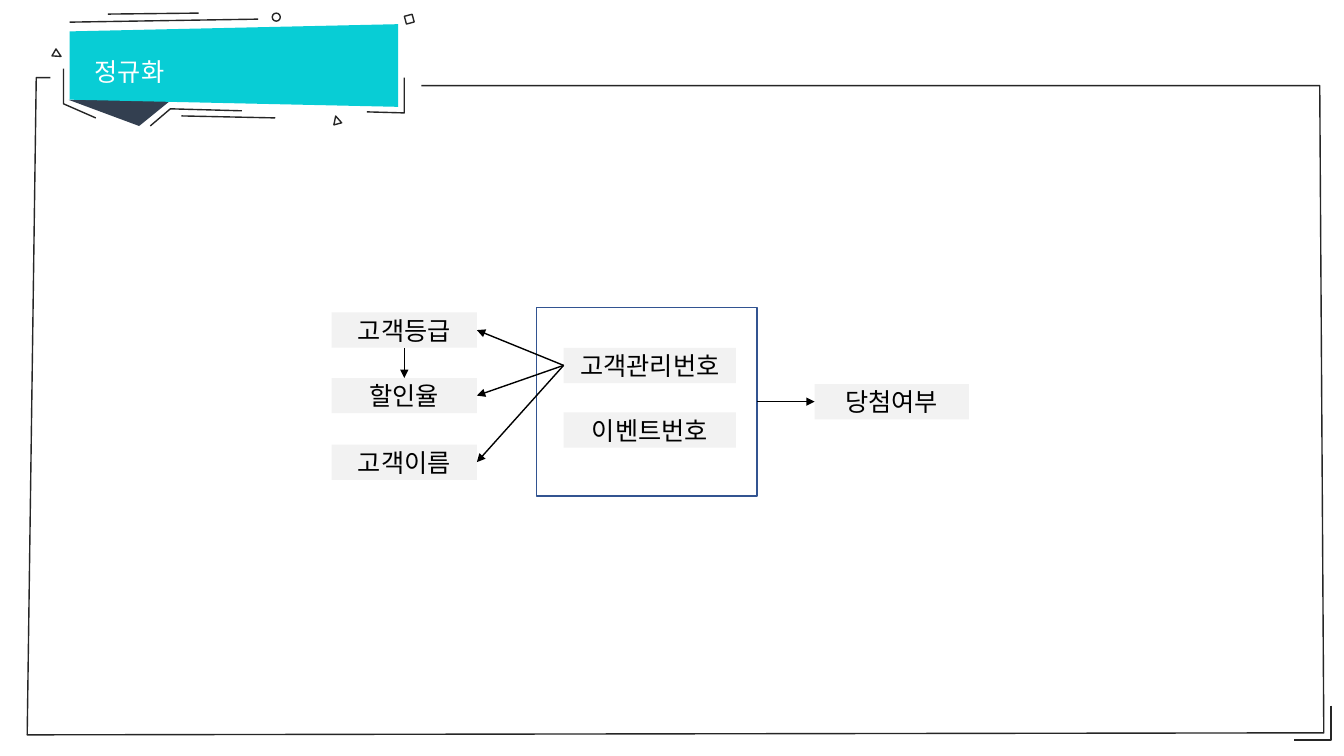
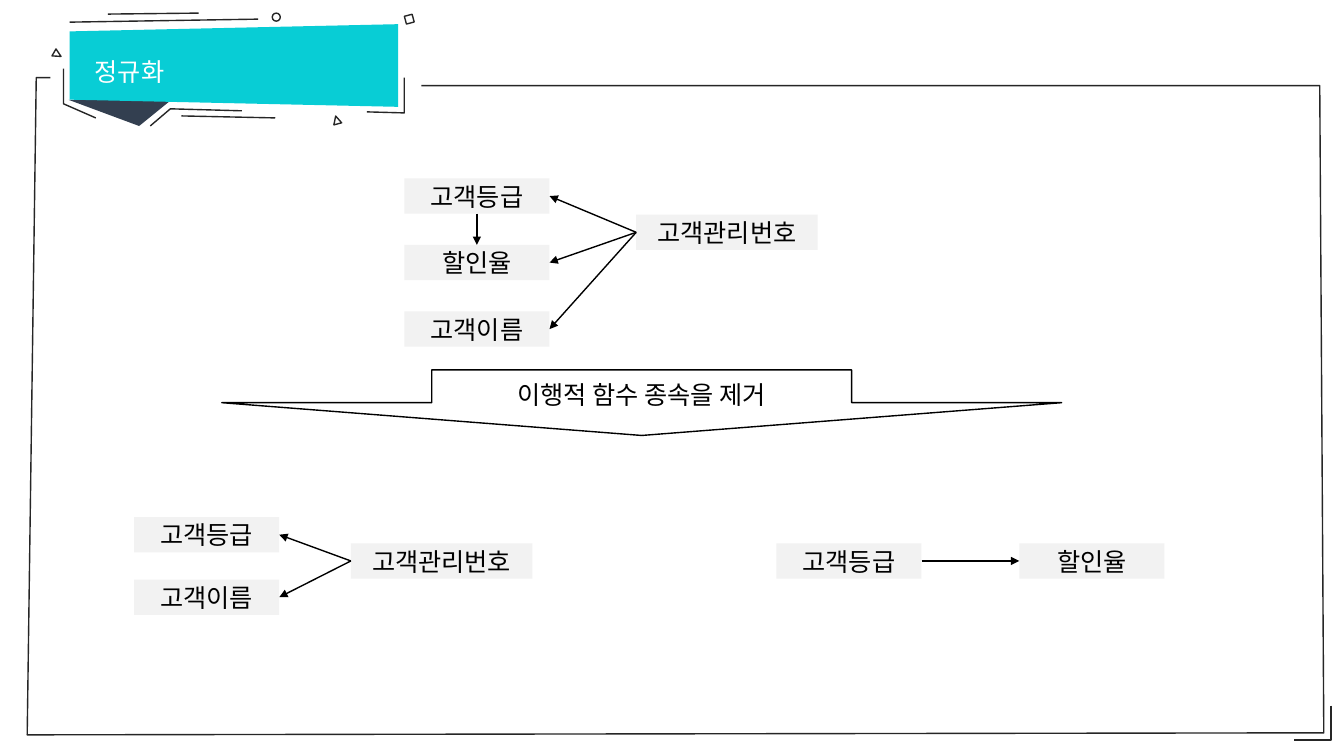
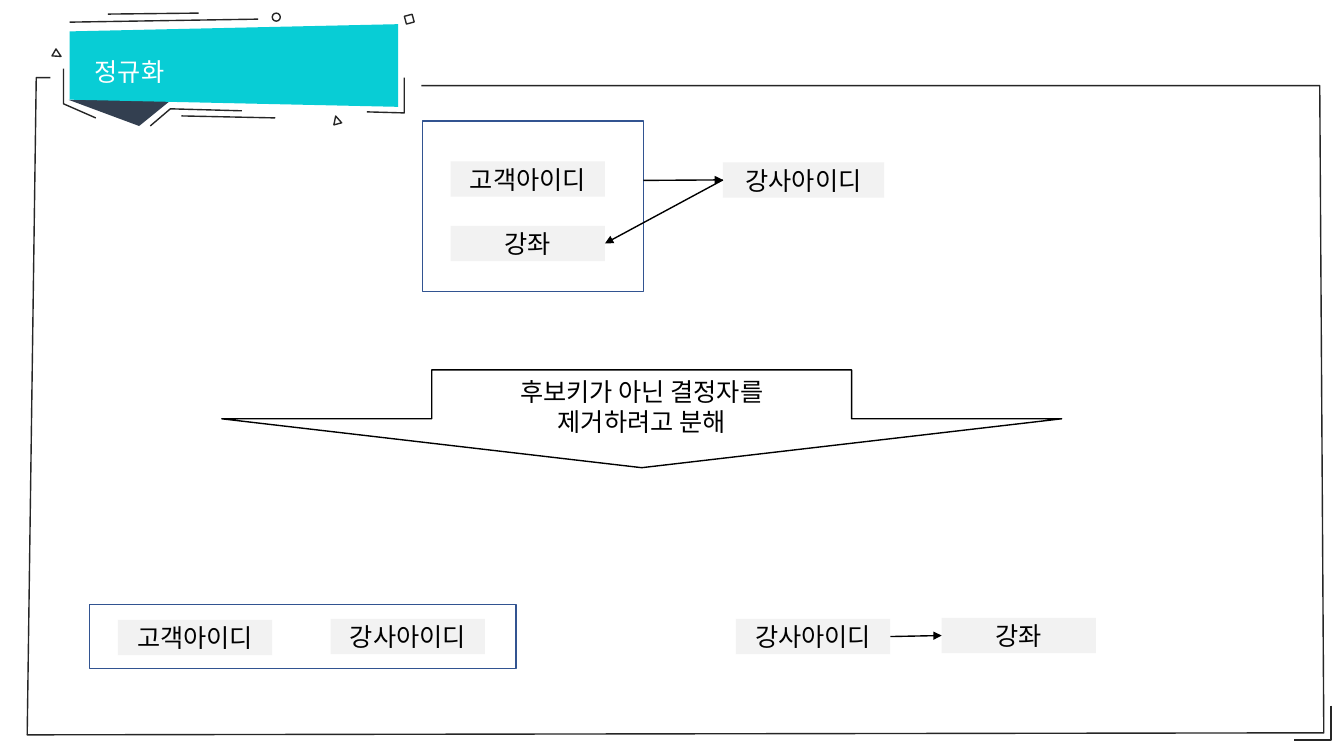
from dataclasses import dataclass

from lxml import etree
from pptx import Presentation
from pptx.dml.color import RGBColor
from pptx.enum import shapes, text
from pptx.oxml import ns
from pptx.util import Inches, Pt


@dataclass(frozen=True)
class Theme:
    font: str = "Noto Sans CJK KR"
    size: int = 18
    line: int = 1
    title: str = "FFFFFF"
    paper: str = "FFFFFF"
    ink: str = "000000"
    box: str = "F2F2F2"
    key_frame: str = "325491"
    outline: str = "262626"
    banner: str = "08CDD5"
    fold: str = "333F50"


THEME = Theme()
KIND = shapes.MSO_SHAPE
TOP, LEFT, BOTTOM, RIGHT = range(4)
BOX_HEIGHT = 0.35
TITLE_AT = (0.84, 0.36, 0.96, 0.56)

PAGE_BORDER = [(4.18, 0.85), (13.09, 0.85), (13.13, 7.27), (0.27, 7.29), (0.36, 0.77), (0.5, 0.77)]
BRACKETS = [
    [(13.2, 7), (13.2, 7.34), (12.83, 7.34)],
    [(0.63, 0.68), (0.63, 1.03), (0.95, 1.17)],
    [(1.49, 1.25), (1.69, 1.08), (2.4, 1.1)],
    [(4.01, 0.77), (4.01, 1.12), (3.64, 1.11)],
]
STROKES = [
    ((0.69, 0.22), (2.56, 0.19)),
    ((1.07, 0.14), (1.97, 0.13)),
    ((1.8, 1.15), (2.73, 1.17)),
]
BANNER_PARTS = [
    (KIND.ISOSCELES_TRIANGLE, (0.68, 0.99, 1.02, 0.26), 180, 0.314, THEME.fold),
    (KIND.TRAPEZOID, (1.91, -0.98, 0.82, 3.26), 270, 0.087, THEME.banner),
]
CONFETTI_SIZE = 0.08
CONFETTI = [
    (KIND.OVAL, 2.7, 0.13, 0),
    (KIND.ISOSCELES_TRIANGLE, 3.3, 1.15, 345),
    (KIND.RECTANGLE, 4.02, 0.15, 345),
    (KIND.ISOSCELES_TRIANGLE, 0.53, 0.5, 120),
]

SLIDES = [
    {
        "title": "정규화",
        "boxes": {
            "grade": ("고객등급", 3.29, 3.1, 1.44),
            "rate": ("할인율", 3.29, 3.75, 1.44),
            "name": ("고객이름", 3.29, 4.41, 1.44),
            "customer": ("고객관리번호", 5.59, 3.45, 1.71),
            "event": ("이벤트번호", 5.59, 4.09, 1.71),
            "won": ("당첨여부", 8.08, 3.81, 1.53),
        },
        "frames": {"key": (5.32, 3.05, 2.19, 1.87)},
        "links": [
            ("customer", LEFT, "grade", RIGHT),
            ("customer", LEFT, "rate", RIGHT),
            ("customer", LEFT, "name", RIGHT),
            ("key", RIGHT, "won", LEFT),
            ("grade", BOTTOM, "rate", TOP),
        ],
    },
    {
        "title": "정규화",
        "boxes": {
            "grade": ("고객등급", 4.01, 1.77, 1.44),
            "rate": ("할인율", 4.01, 2.43, 1.44),
            "name": ("고객이름", 4.01, 3.09, 1.44),
            "customer": ("고객관리번호", 6.31, 2.13, 1.8),
            "split grade": ("고객등급", 1.33, 5.13, 1.44),
            "split name": ("고객이름", 1.33, 5.75, 1.44),
            "split customer": ("고객관리번호", 3.48, 5.39, 1.8),
            "rate key": ("고객등급", 7.7, 5.39, 1.44),
            "split rate": ("할인율", 10.11, 5.39, 1.44),
        },
        "links": [
            ("customer", LEFT, "grade", RIGHT),
            ("customer", LEFT, "rate", RIGHT),
            ("customer", LEFT, "name", RIGHT),
            ("grade", BOTTOM, "rate", TOP),
            ("split customer", LEFT, "split grade", RIGHT),
            ("split customer", LEFT, "split name", RIGHT),
            ("rate key", RIGHT, "split rate", LEFT),
        ],
        "step": ("이행적 함수 종속을 제거", (2.2, 3.67, 8.33, 0.65)),
    },
    {
        "title": "정규화",
        "boxes": {
            "teacher": ("강사아이디", 7.17, 1.61, 1.6),
            "customer": ("고객아이디", 4.47, 1.6, 1.53),
            "course": ("강좌", 4.47, 2.24, 1.53),
            "split customer": ("고객아이디", 1.17, 6.15, 1.53),
            "split teacher": ("강사아이디", 3.28, 6.14, 1.53),
            "course key": ("강사아이디", 7.3, 6.14, 1.53),
            "split course": ("강좌", 9.34, 6.13, 1.53),
        },
        "frames": {"key": (4.19, 1.2, 2.19, 1.69), "split key": (0.89, 6, 4.23, 0.63)},
        "links": [
            ((6.38, 1.79), None, "teacher", LEFT),
            ("teacher", LEFT, "course", RIGHT),
            ("course key", RIGHT, "split course", LEFT),
        ],
        "step": ("후보키가 아닌 결정자를\n제거하려고 분해", (2.2, 3.67, 8.33, 0.97)),
    },
]


def inches(values):
    return [Inches(v) for v in values]


def rgb(value):
    return RGBColor.from_string(value)


def set_line(target, color):
    target.line.color.rgb = rgb(color)
    target.line.width = Pt(THEME.line)


def paint(sp, fill=None, line=None):
    sp.shadow.inherit = False
    if fill:
        sp.fill.solid()
        sp.fill.fore_color.rgb = rgb(fill)
    else:
        sp.fill.background()
    if line:
        set_line(sp, line)
    else:
        sp.line.fill.background()


def write(tf, words, color, align):
    tf.text = words
    for p in tf.paragraphs:
        p.alignment = align
        p.font.size = Pt(THEME.size)
        p.font.color.rgb = rgb(color)
        p.font.name = THEME.font
        props = p._p.pPr.find(ns.qn("a:defRPr"))
        etree.SubElement(props, ns.qn("a:ea"), typeface=THEME.font)


def add_block(tree, kind, at, fill=None, line=None, words=None):
    sp = tree.add_shape(kind, *inches(at))
    paint(sp, fill, line)
    if words:
        write(sp.text_frame, words, THEME.ink, text.PP_ALIGN.CENTER)
    return sp


def add_outline(tree, points, fill=None):
    start, *rest = [inches(point) for point in points]
    builder = tree.build_freeform(*start)
    builder.add_line_segments(rest, close=False)
    paint(builder.convert_to_shape(), fill, THEME.outline)


def add_line(tree, start, end, color):
    c = tree.add_connector(shapes.MSO_CONNECTOR.STRAIGHT, *inches(start + end))
    set_line(c, color)
    etree.SubElement(c._element.spPr, ns.qn("a:effectLst"))
    return c


def decorate(layout, s):
    group = s.shapes.add_group_shape()
    tree = group.shapes
    add_outline(tree, PAGE_BORDER, THEME.paper)
    for kind, at, turn, adjustment, fill in BANNER_PARTS:
        sp = add_block(tree, kind, at, fill)
        sp.rotation = turn
        sp.adjustments[0] = adjustment
    for points in BRACKETS:
        add_outline(tree, points)
    for start, end in STROKES:
        add_line(tree, start, end, THEME.outline)
    for kind, x, y, turn in CONFETTI:
        at = (x, y, CONFETTI_SIZE, CONFETTI_SIZE)
        add_block(tree, kind, at, line=THEME.outline).rotation = turn
    layout.shapes.element.insert(2, group._element)


def set_title(s, words):
    title = s.shapes.title
    title.left, title.top, title.width, title.height = inches(TITLE_AT)
    tf = title.text_frame
    write(tf, words, THEME.title, text.PP_ALIGN.LEFT)
    tf.paragraphs[0].line_spacing = 1.5
    tf.vertical_anchor = text.MSO_ANCHOR.TOP
    tf.word_wrap = False
    tf.auto_size = text.MSO_AUTO_SIZE.SHAPE_TO_FIT_TEXT


def add_link(tree, blocks, start, start_site, end, end_site):
    origin = start if start_site is None else (0, 0)
    c = add_line(tree, origin, (0, 0), THEME.ink)
    if start_site is not None:
        c.begin_connect(blocks[start], start_site)
    c.end_connect(blocks[end], end_site)
    ln = c._element.spPr.find(ns.qn("a:ln"))
    etree.SubElement(ln, ns.qn("a:tailEnd"), type="triangle")


def add_diagram(s, content):
    tree = s.shapes
    blocks = {}
    for key, (words, x, y, width) in content["boxes"].items():
        at = (x, y, width, BOX_HEIGHT)
        blocks[key] = add_block(tree, KIND.RECTANGLE, at, fill=THEME.box, words=words)
    for key, at in content.get("frames", {}).items():
        blocks[key] = add_block(tree, KIND.RECTANGLE, at, line=THEME.key_frame)
    for link in content["links"]:
        add_link(tree, blocks, *link)
    if "step" in content:
        words, at = content["step"]
        add_block(tree, KIND.DOWN_ARROW, at, line=THEME.ink, words=words)


prs = Presentation()
prs.slide_width, prs.slide_height = inches((13.33, 7.5))
layout = prs.slide_layouts[5]
for number, content in enumerate(SLIDES):
    s = prs.slides.add_slide(layout)
    if number == 0:
        decorate(layout, s)
    set_title(s, content["title"])
    add_diagram(s, content)
prs.save("out.pptx")
